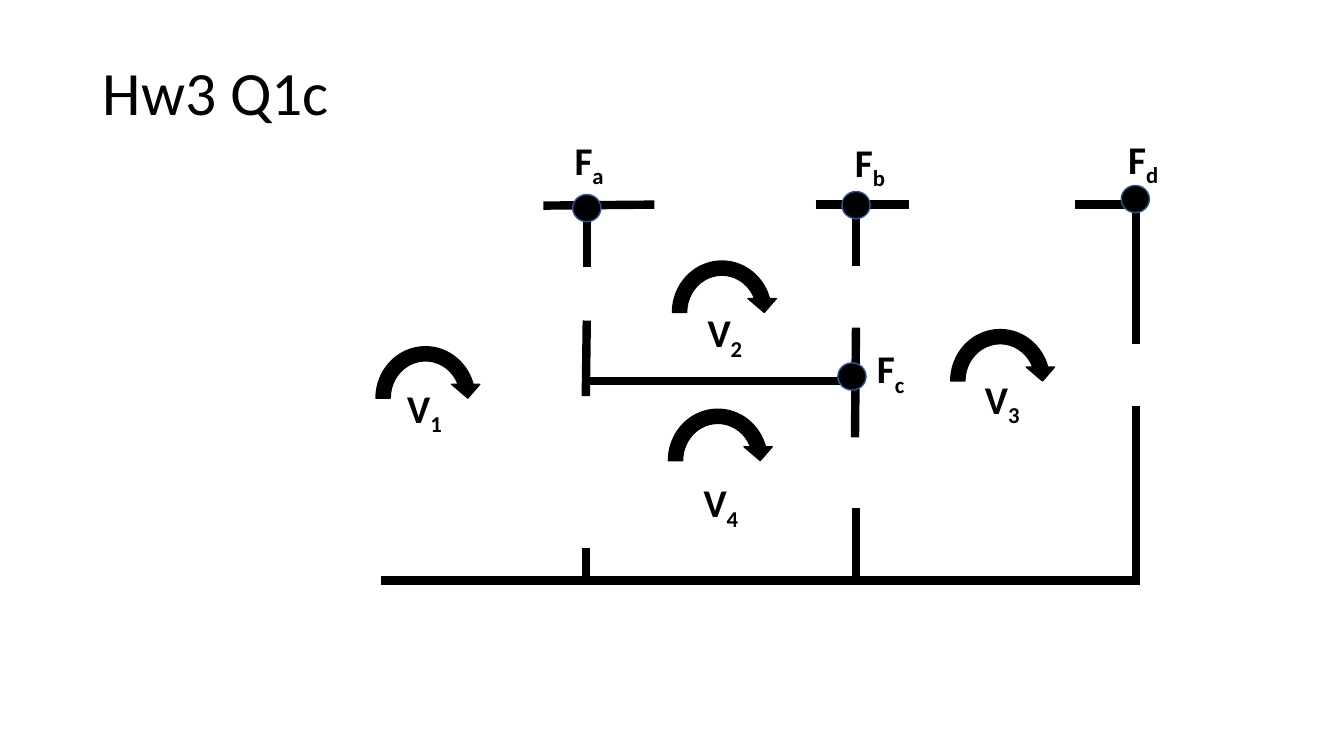
from lxml.etree import SubElement
from pptx import Presentation
from pptx.dml.color import RGBColor
from pptx.enum.shapes import MSO_CONNECTOR, MSO_SHAPE
from pptx.enum.text import MSO_ANCHOR
from pptx.oxml.ns import qn
from pptx.util import Inches, Pt

BLACK = "000000"
DOT_EDGE = "325491"


def paint(color_format, hex_color):
    """Fill, line or font colour from a hex string."""
    if hasattr(color_format, "solid"):
        color_format.solid()
        color_format = color_format.fore_color
    color_format.rgb = RGBColor.from_string(hex_color)


def style_font(font, size, bold=False):
    font.name = "Calibri"
    font.size = Pt(size)
    font.bold = bold
    paint(font.color, BLACK)


prs = Presentation()
prs.slide_width, prs.slide_height = Inches(13.33), Inches(7.5)
slide = prs.slides.add_slide(prs.slide_layouts[6])
shapes = slide.shapes

title = shapes.add_textbox(Inches(0.92), Inches(0.4), Inches(11.5), Inches(1.1))
title.text_frame.word_wrap = True
title.text_frame.vertical_anchor = MSO_ANCHOR.MIDDLE
heading = title.text_frame.paragraphs[0]
heading.text = "Hw3 Q1c"
heading.line_spacing = 0.9
style_font(heading.runs[0].font, 44)

# Walls of the floor plan: x1, y1, x2, y2
walls = [
    (5.39, 2.04, 6.49, 2.03), (8.09, 2.03, 9.02, 2.03), (10.66, 2.03, 11.32, 2.03),
    (5.82, 2.04, 5.82, 2.65), (5.82, 3.18, 5.81, 3.93), (5.81, 5.44, 5.81, 5.76),
    (8.49, 2.01, 8.49, 2.64), (8.49, 3.25, 8.48, 4.34), (8.49, 5.04, 8.49, 5.79),
    (11.27, 2.03, 11.27, 3.41), (11.27, 4.03, 11.27, 5.75),
    (5.82, 3.78, 8.48, 3.78), (3.78, 5.76, 11.31, 5.76),
]
for ends in walls:
    wall = shapes.add_connector(MSO_CONNECTOR.STRAIGHT, *map(Inches, ends))
    wall.line.width = Pt(6)
    paint(wall.line.fill, BLACK)
    SubElement(wall._element.spPr, qn("a:effectLst"))

# Loop arrows and joints: preset, width, height, edge colour, top-left corners
markers = [
    (MSO_SHAPE.CIRCULAR_ARROW, 1.12, 1.16, BLACK,
     [(3.66, 3.37), (6.6, 2.52), (9.36, 3.2), (6.56, 3.99)]),
    (MSO_SHAPE.OVAL, 0.28, 0.27, DOT_EDGE,
     [(5.68, 1.93), (8.35, 1.9), (8.31, 3.6), (11.12, 1.84)]),
]
for preset, width, height, edge, corners in markers:
    for left, top in corners:
        marker = shapes.add_shape(preset, Inches(left), Inches(top),
                                  Inches(width), Inches(height))
        marker.shadow.inherit = False
        paint(marker.fill, BLACK)
        paint(marker.line.fill, edge)
        marker.line.width = Pt(1)

# Letter, subscript, left, top
labels = [
    ("V", "1", 3.94, 3.76), ("V", "2", 6.92, 3.01),
    ("V", "3", 9.67, 3.67), ("V", "4", 6.88, 4.7),
    ("F", "a", 5.6, 1.3), ("F", "b", 8.38, 1.32),
    ("F", "c", 8.6, 3.37), ("F", "d", 11.09, 1.29),
]
for letter, subscript, left, top in labels:
    label = shapes.add_textbox(Inches(left), Inches(top), Inches(0.57), Inches(0.57))
    label.text_frame.word_wrap = False
    symbol = label.text_frame.paragraphs[0]
    for part in (letter, subscript):
        run = symbol.add_run()
        run.text = part
        style_font(run.font, 28, bold=True)
    symbol.runs[1].font._element.set("baseline", "-25000")

prs.save("out.pptx")
